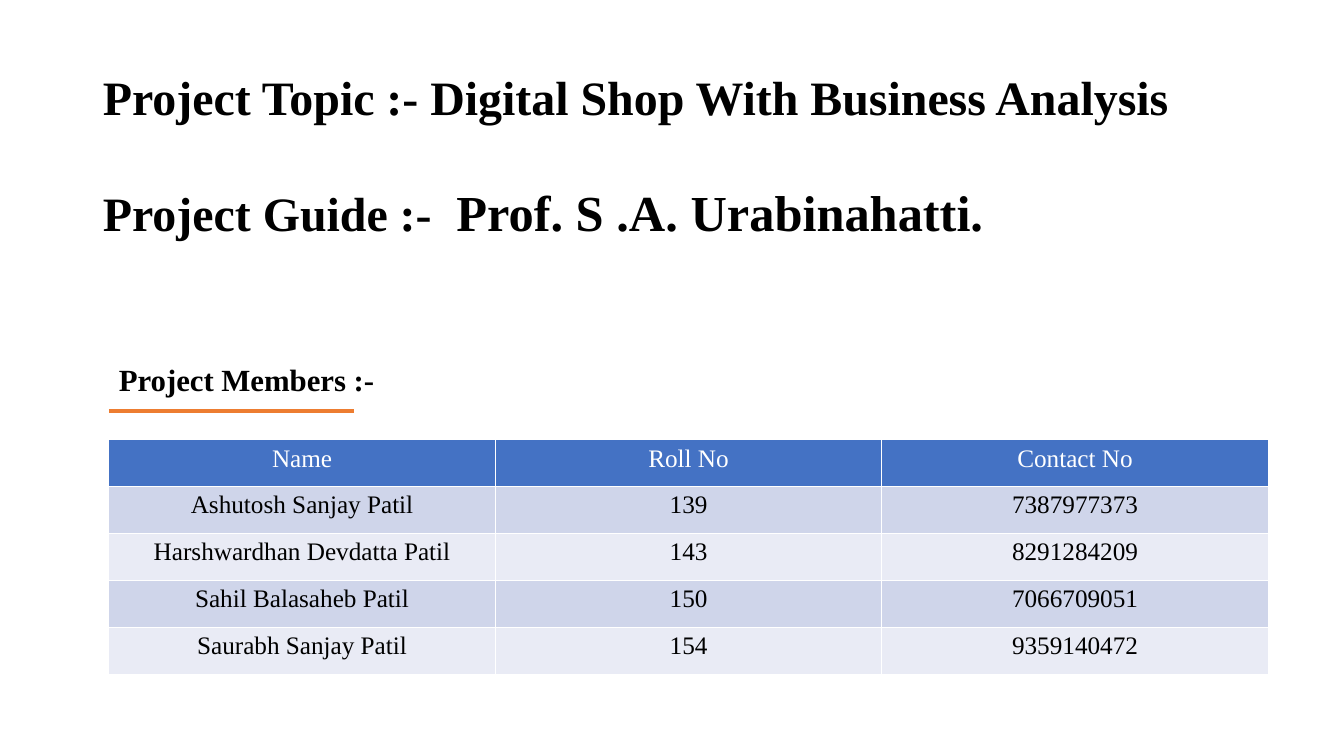
from dataclasses import dataclass

from lxml import etree
from pptx import Presentation
from pptx.dml.color import RGBColor
from pptx.enum.shapes import MSO_CONNECTOR
from pptx.enum.text import MSO_ANCHOR, MSO_AUTO_SIZE, PP_ALIGN
from pptx.oxml.ns import qn
from pptx.util import Inches, Pt

LEFT, CENTER = PP_ALIGN.LEFT, PP_ALIGN.CENTER
TOP = MSO_ANCHOR.TOP
NO_AUTOFIT = MSO_AUTO_SIZE.NONE
STRAIGHT = MSO_CONNECTOR.STRAIGHT


@dataclass(frozen=True)
class Theme:
    font: str = "Times New Roman"
    text: str = "000000"
    white: str = "FFFFFF"
    header: str = "4472C4"
    bands: tuple = ("CFD5EA", "E9EBF5")
    accent: str = "ED7D31"
    title_size: float = 34.2
    guide_size: float = 36
    heading_size: float = 22
    table_size: float = 18


THEME = Theme()

MEMBERS = [
    ("Name", "Roll No", "Contact No"),
    ("Ashutosh Sanjay Patil", "139", "7387977373"),
    ("Harshwardhan Devdatta Patil", "143", "8291284209"),
    ("Sahil Balasaheb Patil", "150", "7066709051"),
    ("Saurabh Sanjay Patil", "154", "9359140472"),
]


def style(p, size, color=THEME.text, bold=False, align=LEFT):
    p.alignment = align
    p.font.name = THEME.font
    p.font.size = Pt(size)
    p.font.bold = bold
    p.font.color.rgb = RGBColor.from_string(color)


def add_title(s):
    title = s.shapes.title
    title.left, title.top = Inches(0.92), Inches(0.4)
    title.width, title.height = Inches(11.5), Inches(2.48)
    tf = title.text_frame
    tf.auto_size = NO_AUTOFIT
    tf.vertical_anchor = TOP
    tf.margin_top = Inches(0.34)
    tf.text = "Project Topic :- Digital Shop With Business Analysis"
    guide = tf.add_paragraph()
    guide.add_run().text = "Project Guide :- "
    name = guide.add_run()
    name.text = " Prof. S .A. Urabinahatti."
    name.font.size = Pt(THEME.guide_size)
    for p in tf.paragraphs:
        style(p, THEME.title_size, bold=True)
        p.line_spacing = 0.9
    guide.space_before = Pt(44)


def add_heading(s, text, x, y, w, h):
    box = s.shapes.add_textbox(Inches(x), Inches(y), Inches(w), Inches(h))
    tf = box.text_frame
    tf.word_wrap = True
    tf.text = text
    style(tf.paragraphs[0], THEME.heading_size, bold=True)


def add_rule(s, x1, x2, y):
    line = s.shapes.add_connector(STRAIGHT, Inches(x1), Inches(y), Inches(x2), Inches(y))
    line.line.color.rgb = RGBColor.from_string(THEME.accent)
    line.line.width = Pt(3)
    etree.SubElement(line._element.spPr, qn("a:effectLst"))


def set_borders(cell, color, width):
    tc_pr = cell._tc.get_or_add_tcPr()
    # Borders come before the fill in the cell properties
    for i, side in enumerate(("a:lnL", "a:lnR", "a:lnT", "a:lnB")):
        ln = etree.Element(qn(side), w=str(Pt(width)))
        fill = etree.SubElement(ln, qn("a:solidFill"))
        etree.SubElement(fill, qn("a:srgbClr"), val=color)
        tc_pr.insert(i, ln)


def add_table(s, rows, x, y, w, h):
    frame = s.shapes.add_table(len(rows), len(rows[0]), Inches(x), Inches(y), Inches(w), Inches(h))
    for i, row in enumerate(rows):
        fill = THEME.bands[(i - 1) % 2] if i else THEME.header
        color = THEME.text if i else THEME.white
        for j, text in enumerate(row):
            cell = frame.table.cell(i, j)
            cell.text = text
            style(cell.text_frame.paragraphs[0], THEME.table_size, color, align=CENTER)
            cell.fill.solid()
            cell.fill.fore_color.rgb = RGBColor.from_string(fill)
            set_borders(cell, THEME.white, 1)


def main():
    prs = Presentation()
    prs.slide_width, prs.slide_height = Inches(13.33), Inches(7.5)
    s = prs.slides.add_slide(prs.slide_layouts[5])

    # Topic and guide
    add_title(s)

    # Project members
    add_heading(s, "Project Members :-", 1.08, 3.53, 3.68, 0.47)
    add_rule(s, 1.08, 3.51, 4.08)
    add_table(s, MEMBERS, 1.08, 4.36, 11.5, 2.33)

    prs.save("out.pptx")


if __name__ == "__main__":
    main()
